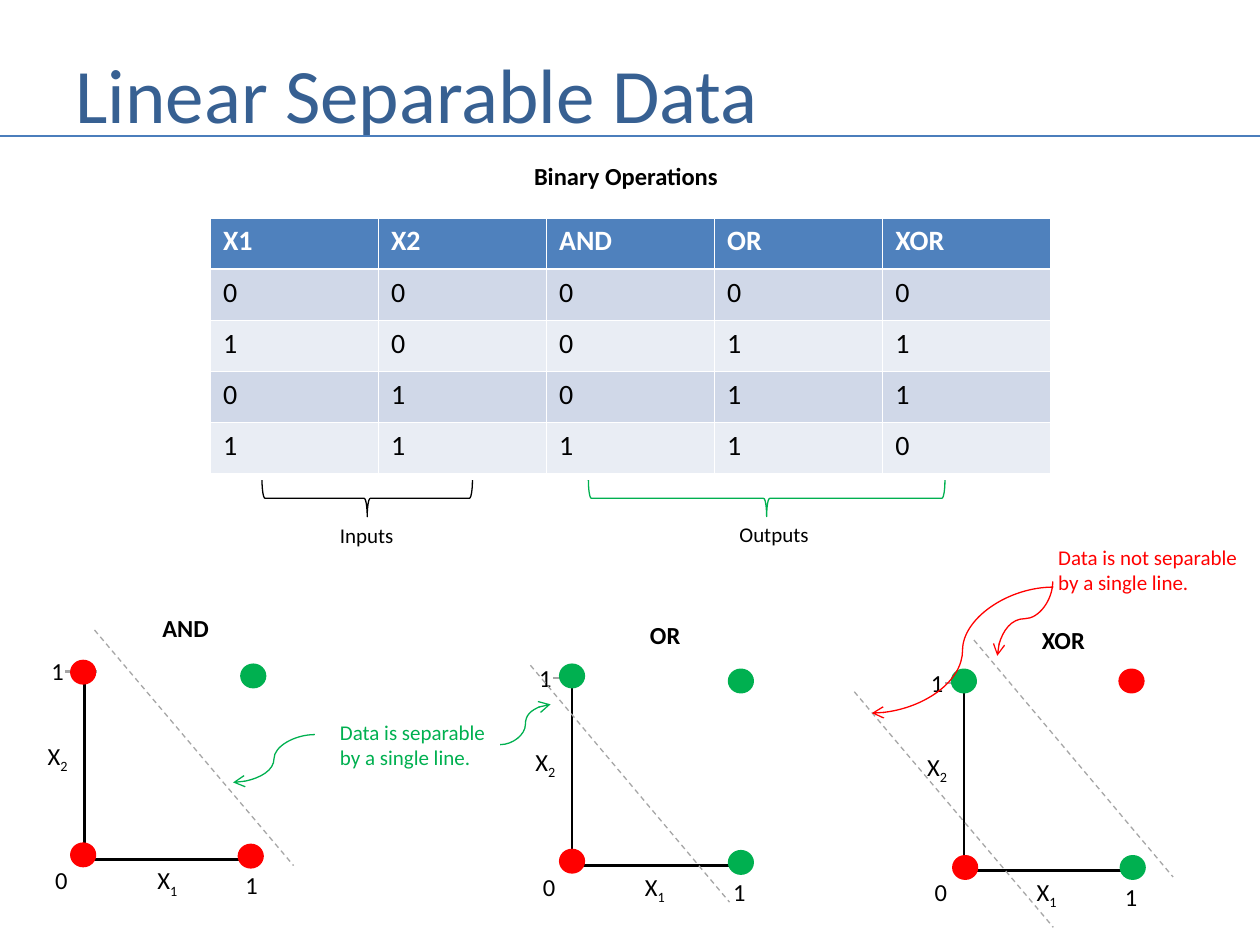
from pptx import Presentation
from pptx.util import Inches, Pt
from pptx.dml.color import RGBColor
from pptx.enum.dml import MSO_LINE as Dash
from pptx.enum.shapes import MSO_SHAPE as Shape, MSO_CONNECTOR as Conn
from pptx.enum.text import MSO_ANCHOR as Anchor, MSO_AUTO_SIZE as Fit, PP_ALIGN as Align
from pptx.oxml.ns import qn
from lxml.etree import SubElement

FONT = "Calibri"
HUES = {"title": "376092", "rule": "4B7EBC", "head": "4F81BD", "odd": "D0D8E8",
        "even": "E9EDF4", "white": "FFFFFF", "black": "000000", "gray": "A6A6A6",
        "green": "00B050", "red": "FF0000"}

ROWS = [("X1", "X2", "AND", "OR", "XOR"), "00000", "10011", "01011", "11110"]

NOTES = [
    (4.14, 1.23, 1.67, 0.34, ["Binary Operations"], 14, "black", True),
    (2.6, 4.1, 0.63, 0.3, ["Inputs"], 12, "black", False),
    (5.77, 4.09, 0.76, 0.3, ["Outputs"], 12, "black", False),
    (2.6, 5.66, 1.37, 0.5, ["Data is separable", "by a single line."], 12, "green", False),
    (8.3, 4.27, 1.64, 0.5, ["Data is not separable", "by a single line."], 12, "red", False),
]
BRACES = [(2.77, 3.12, 1.67, "black"), (5.94, 2.54, 2.83, "green")]

PLOTS = [
    {"name": "AND", "wide": 0.58, "at": (0.67, 6.82),
     "cuts": [(0.75, 5, 2.33, 6.87)],
     "dots": [(1.92, 5.28, "green"), (0.57, 6.7, "red"), (1.9, 6.71, "red"), (0.57, 5.25, "red")]},
    {"name": "OR", "wide": 0.45, "at": (4.54, 6.87),
     "cuts": [(4.21, 5.28, 5.79, 7.16)],
     "dots": [(5.79, 5.32, "green"), (4.45, 6.75, "red"), (4.45, 5.28, "green"), (5.79, 6.76, "green")]},
    {"name": "XOR", "wide": 0.55, "at": (7.65, 6.91),
     "cuts": [(7.73, 5.08, 9.31, 6.96), (6.78, 5.49, 8.36, 7.36)],
     "dots": [(7.57, 6.8, "red"), (7.56, 5.32, "green"), (8.9, 6.8, "green"), (8.89, 5.32, "red")]},
]
AXES = [(0, -1.49, 0, 0.01, "black"), (1.33, 0, 0, 0, "black"),
        (1.34, -0.12, 1.34, 0.07, "gray"), (0.1, -1.49, -0.15, -1.49, "gray")]
MARKS = [(0.48, 0, 0.37, "X", "1"), (-0.39, -0.99, 0.37, "X", "2"), (-0.33, 0, 0.3, "0", ""),
         (1.18, 0.04, 0.3, "1", ""), (-0.36, -1.66, 0.3, "1", "")]
CURVES = [(2.5, 5.83, 1.85, 6.21, "green", 0), (3.97, 5.91, 4.37, 5.59, "green", 0),
          (7.84, 4.69, 8.43, 5.13, "red", 90), (8.36, 4.66, 6.92, 5.66, "red", 0)]

deck = Presentation()
deck.slide_width, deck.slide_height = Inches(10), Inches(7.5)
slide = deck.slides.add_slide(deck.slide_layouts[5])
parts = slide.shapes


def hue(key):
    return RGBColor.from_string(HUES[key])


def write(para, text, size, key, bold=False, base=0):
    run = para.add_run()
    run.text = text
    font = run.font
    font.name, font.size, font.bold = FONT, Pt(size), bold
    font.color.rgb = hue(key)
    if base:
        font._element.set("baseline", str(base))


def label(x, y, w, h):
    box = parts.add_textbox(Inches(x), Inches(y), Inches(w), Inches(h))
    frame = box.text_frame
    frame.word_wrap, frame.auto_size = False, Fit.SHAPE_TO_FIT_TEXT
    return frame


def line(x1, y1, x2, y2, key, width, kind=Conn.STRAIGHT):
    link = parts.add_connector(kind, Inches(x1), Inches(y1), Inches(x2), Inches(y2))
    link.line.color.rgb, link.line.width = hue(key), Pt(width)
    SubElement(link._element.spPr, qn("a:effectLst"))
    return link


def shape(kind, x, y, w, h, key, width):
    item = parts.add_shape(kind, Inches(x), Inches(y), Inches(w), Inches(h))
    item.shadow.inherit = False
    item.line.color.rgb, item.line.width = hue(key), Pt(width)
    return item


title = parts.title
title.left, title.top = Inches(0.5), Inches(0.3)
title.width, title.height = Inches(9.08), Inches(0.87)
frame = title.text_frame
frame.vertical_anchor, frame.auto_size = Anchor.MIDDLE, Fit.NONE
frame.paragraphs[0].alignment = Align.LEFT
write(frame.paragraphs[0], "Linear Separable Data", 44, "title")
line(0, 1.08, 10, 1.08, "rule", 1.5)

grid = parts.add_table(len(ROWS), len(ROWS[0]), Inches(1.67), Inches(1.73),
                       Inches(6.67), Inches(2.03)).table
for i, row in enumerate(ROWS):
    for j, text in enumerate(row):
        cell = grid.cell(i, j)
        cell.fill.solid()
        cell.fill.fore_color.rgb = hue("head" if i == 0 else "odd" if i % 2 else "even")
        write(cell.text_frame.paragraphs[0], text, 16, "black" if i else "white", i == 0)

for x, y, w, h, texts, size, key, bold in NOTES:
    frame = label(x, y, w, h)
    for i, text in enumerate(texts):
        para = frame.add_paragraph() if i else frame.paragraphs[0]
        write(para, text, size, key, bold)

for x, y, span, key in BRACES:
    brace = shape(Shape.LEFT_BRACE, x, y, 0.29, span, key, 0.75)
    brace.fill.background()
    brace.rotation = 270

for plot in PLOTS:
    left, base = plot["at"]
    for x1, y1, x2, y2, key in AXES:
        line(left + x1, base + y1, left + x2, base + y2, key, 1.5)
    for x, y, w, text, sub in MARKS:
        para = label(left + x, base + y, w, 0.34).paragraphs[0]
        write(para, text, 14, "black")
        if sub:
            write(para, sub, 14, "black", base=-25000)
    head = label(left + 0.52, base - 2, plot["wide"], 0.34)
    write(head.paragraphs[0], plot["name"], 14, "black", True)
    for cut in plot["cuts"]:
        line(*cut, "gray", 0.75).line.dash_style = Dash.DASH
    for x, y, key in plot["dots"]:
        dot = shape(Shape.OVAL, x, y, 0.18, 0.17, key, 2)
        dot.fill.solid()
        dot.fill.fore_color.rgb = hue(key)

for x1, y1, x2, y2, key, turn in CURVES:
    curve = line(x1, y1, x2, y2, key, 0.75, Conn.CURVE)
    SubElement(curve.line._get_or_add_ln(), qn("a:tailEnd"), type="arrow")
    if turn:
        curve._element.spPr.find(qn("a:xfrm")).set("rot", str(turn * 60000))

deck.save("out.pptx")
